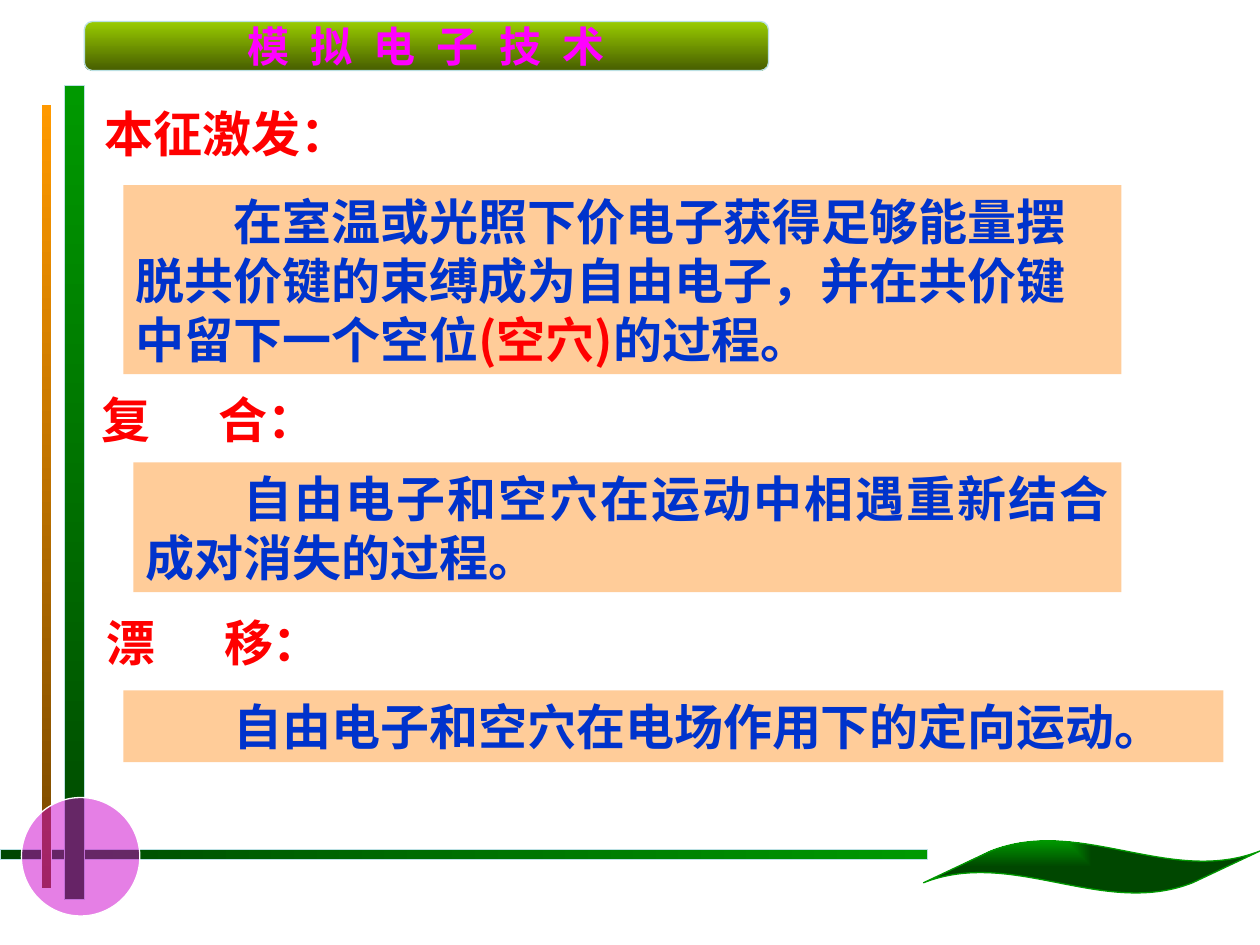
from lxml.etree import SubElement
from pptx import Presentation
from pptx.dml.color import RGBColor
from pptx.enum.shapes import MSO_SHAPE as Shape
from pptx.enum.text import MSO_ANCHOR as Anchor, MSO_AUTO_SIZE as Auto, PP_ALIGN as Align
from pptx.oxml.ns import qn
from pptx.util import Inches, Pt

WHITE = RGBColor(0xFF, 0xFF, 0xFF)
BLACK = RGBColor(0, 0, 0)
GREEN = RGBColor(0, 0x99, 0)
DARK = RGBColor(0, 0x47, 0)
ORANGE = RGBColor(0xFF, 0x99, 0)
BROWN = RGBColor(0x76, 0x47, 0)
LIME = RGBColor(0x99, 0xCC, 0)
OLIVE = RGBColor(0x47, 0x5E, 0)
PALE = RGBColor(0xBB, 0xE0, 0xE3)
PURPLE = RGBColor(0xCC, 0, 0xCC)
PINK = RGBColor(0xFF, 0, 0xFF)
RED = RGBColor(0xFF, 0, 0)
BLUE = RGBColor(0, 0x33, 0xCC)
PEACH = RGBColor(0xFF, 0xCC, 0x99)
SERIF, SANS = "Times New Roman", "Noto Sans CJK SC"

deck = Presentation()
deck.slide_width, deck.slide_height = Inches(10), Inches(7.5)
CELL = deck.slide_width // 1000  # grid of 1000 columns by 750 rows
slide = deck.slides.add_slide(deck.slide_layouts[5])


def add(kind, cells, line=None, width=0.75):
    shape = slide.shapes.add_shape(kind, *[n * CELL for n in cells])
    shape.shadow.inherit = False
    if line is None:
        shape.line.fill.background()
    else:
        shape.line.color.rgb = line
        shape.line.width = Pt(width)
    return shape


def write(shape, parts, align=Align.LEFT):
    frame = shape.text_frame
    frame.word_wrap = True
    frame.auto_size = Auto.NONE
    frame.vertical_anchor = Anchor.TOP
    para = frame.paragraphs[0]
    para.alignment = align
    para.font.size, para.font.bold = Pt(28), True
    para.font.name, para.font.color.rgb = SERIF, parts[0][1]
    for text, color, face in parts:
        run = para.add_run()
        run.text = text
        if len(parts) > 1:
            run.font.name, run.font.color.rgb = face, color
    return para


# Frame bars, banner and leaf
bars = [
    (Shape.RECTANGLE, (0, 674, 736, 8), DARK, GREEN, 0, PALE, 0.75),
    (Shape.RECTANGLE, (51, 68, 16, 646), GREEN, DARK, 270, PALE, 0.75),
    (Shape.RECTANGLE, (33, 83, 8, 622), ORANGE, BROWN, 270, WHITE, 0.5),
    (Shape.FLOWCHART_ALTERNATE_PROCESS, (67, 17, 543, 39), LIME, OLIVE, 270, PALE, 0.75),
    (Shape.WAVE, (733, 667, 267, 42), GREEN, DARK, 0, GREEN, 0.75),
]
made = []
for kind, cells, first, last, angle, line, width in bars:
    shape = add(kind, cells, line, width)
    shape.fill.gradient()
    shape.fill.gradient_angle = angle
    for stop, color in zip(shape.fill.gradient_stops, (first, last)):
        stop.color.rgb = color
    made.append(shape)
banner, leaf = made[3:]

# The leaf shades from its top left corner
leaf.adjustments[0], leaf.adjustments[1] = 0.206, -0.1
grad = leaf._element.spPr.find(qn("a:gradFill"))
grad.remove(grad.find(qn("a:lin")))
rect = SubElement(grad, qn("a:path"), path="rect")
SubElement(rect, qn("a:fillToRect"), r="100000", b="100000")

# See-through disc over the crossing bars
disc = add(Shape.OVAL, (17, 633, 94, 94), WHITE)
disc.fill.solid()
disc.fill.fore_color.rgb = PURPLE
tint = disc._element.spPr.find(qn("a:solidFill"))[0]
SubElement(tint, qn("a:alpha"), val="50000")

# Banner text, letter-spaced
para = write(banner, [("模 拟 电 子 技 术", PINK, SANS)], Align.CENTER)
para.font.size, para.font.name = Pt(24), SANS
para.runs[0]._r.get_or_add_rPr().set("spc", "330")
banner.text_frame.word_wrap = False
banner.text_frame.vertical_anchor = Anchor.MIDDLE

# Title with a hard text shadow
title = slide.shapes.title
title.left, title.top, title.width, title.height = [n * CELL for n in (73, 77, 275, 57)]
para = write(title, [("本征激发：", RED, SERIF)])
run = para.runs[0]
run.font.color.rgb = RED
glow = SubElement(run._r.get_or_add_rPr(), qn("a:effectLst"))
drop = SubElement(glow, qn("a:outerShdw"), dist="35921", dir="2700000")
SubElement(drop, qn("a:srgbClr"), val=str(BLACK))

# Other headings, spread by a tab stop
for text, cells in [("复\t合：", (71, 304, 247, 57)), ("漂\t移：", (75, 481, 255, 57))]:
    head = slide.shapes.add_textbox(*[n * CELL for n in cells])
    para = write(head, [(text, RED, SERIF)])
    tabs = para._p.get_or_add_pPr()
    stops = tabs.makeelement(qn("a:tabLst"))
    tabs.insert(0, stops)
    SubElement(stops, qn("a:tab"), pos=str(93 * CELL), algn="l")

# Definitions, first line indented by two characters
notes = [
    ((98, 147, 792, 150), Align.LEFT, [
        ("在室温或光照下价电子获得足够能量摆脱共价键的束缚成为自由电子，并在共价键中留下一个空位", BLUE, SERIF),
        ("(空穴)", RED, SANS),
        ("的过程。", BLUE, SERIF)]),
    ((106, 367, 784, 103), Align.JUSTIFY, [
        ("自由电子和空穴在运动中相遇重新结合成对消失的过程。", BLUE, SERIF)]),
    ((98, 548, 873, 57), Align.LEFT, [
        ("自由电子和空穴在电场作用下的定向运动。", BLUE, SERIF)]),
]
for cells, align, parts in notes:
    note = add(Shape.RECTANGLE, cells)
    note.fill.solid()
    note.fill.fore_color.rgb = PEACH
    para = write(note, parts, align)
    para._p.get_or_add_pPr().set("indent", str(Pt(56)))

deck.save("out.pptx")
